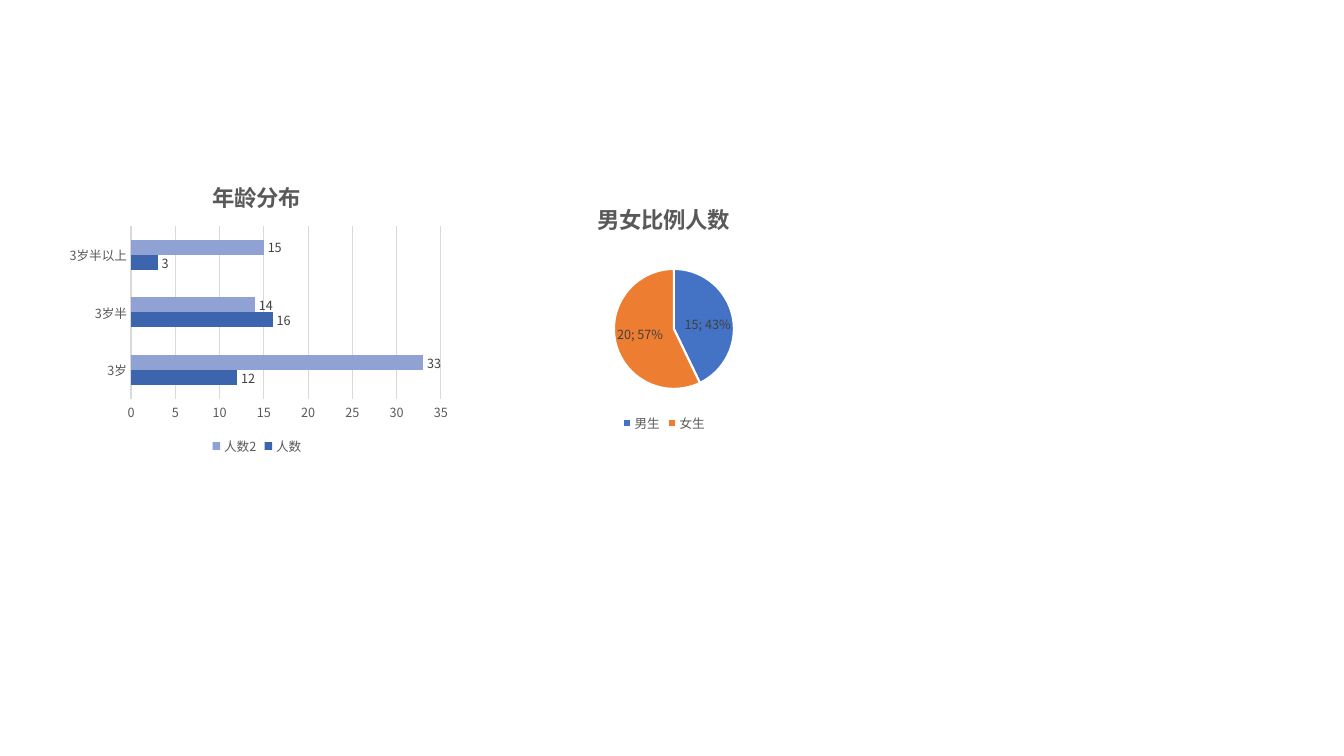
from lxml.etree import SubElement
from pptx import Presentation
from pptx.chart.data import CategoryChartData
from pptx.dml.color import RGBColor
from pptx.enum.chart import XL_CHART_TYPE, XL_LABEL_POSITION, XL_LEGEND_POSITION, XL_TICK_MARK
from pptx.oxml.ns import qn
from pptx.util import Emu, Pt

# Content: boxes are left, top, width, height in px
SLIDE_SIZE = (1344, 756)
FONT = "Noto Sans CJK SC"
COLORS = {
    "text": "595959", "label": "404040", "grid": "D9D9D9", "white": "FFFFFF",
    "dark_blue": "3C65AE", "light_blue": "90A2D3", "blue": "4472C4", "orange": "ED7D31",
}
AGE = {
    "title": "年龄分布",
    "type": XL_CHART_TYPE.BAR_CLUSTERED,
    "box": (59, 163, 396, 296),
    "plot": (131, 226, 310, 173),
    "categories": ["3岁", "3岁半", "3岁半以上"],
    "series": [("人数", (12, 16, 3)), ("人数2", (33, 14, 15))],
    "colors": ["dark_blue", "light_blue"],
}
GENDER = {
    "title": "男女比例人数",
    "type": XL_CHART_TYPE.PIE,
    "box": (495, 186, 338, 250),
    "plot": (614, 269, 120, 120),
    "categories": ["男生", "女生"],
    "series": [("Series 1", (15, 20))],
    "colors": ["blue", "orange"],
}


def px(length):
    return Emu(round(length * 914400 / 100.8))


def rgb(name):
    return RGBColor.from_string(COLORS[name])


def style_font(font, size, color, bold=False):
    font.name = FONT
    font.size = Pt(size)
    font.bold = bold
    font.color.rgb = rgb(color)


def place_plot(chart, box, plot):
    """Fix the inner plot area as fractions of the chart box."""
    plot_area = chart.element.find(".//" + qn("c:plotArea"))
    for old_layout in plot_area.findall(qn("c:layout")):
        plot_area.remove(old_layout)
    layout = SubElement(plot_area, qn("c:layout"))
    plot_area.insert(0, layout)
    manual = SubElement(layout, qn("c:manualLayout"))
    left, top, width, height = box
    settings = {
        "layoutTarget": "inner", "xMode": "edge", "yMode": "edge",
        "x": (plot[0] - left) / width, "y": (plot[1] - top) / height,
        "w": plot[2] / width, "h": plot[3] / height,
    }
    for tag, value in settings.items():
        SubElement(manual, qn("c:" + tag)).set("val", str(value))


def add_east_asian_font(chart):
    for latin in list(chart.element.iter(qn("a:latin"))):
        east_asian = latin.makeelement(qn("a:ea"), {"typeface": FONT})
        latin.addnext(east_asian)


def add_chart(slide, content):
    """Add a chart with its title, legend, plot area and value labels."""
    data = CategoryChartData()
    data.categories = content["categories"]
    for name, values in content["series"]:
        data.add_series(name, values)
    frame = slide.shapes.add_chart(content["type"], *map(px, content["box"]), data)
    chart = frame.chart
    style_font(chart.font, 10, "text")

    chart.has_title = True
    run = chart.chart_title.text_frame.paragraphs[0].add_run()
    run.text = content["title"]
    style_font(run.font, 16, "text", bold=True)

    chart.has_legend = True
    chart.legend.position = XL_LEGEND_POSITION.BOTTOM
    chart.legend.include_in_layout = False
    style_font(chart.legend.font, 9, "text")

    place_plot(chart, content["box"], content["plot"])
    for series in chart.plots[0].series:
        labels = series.data_labels
        labels.show_value = True
        style_font(labels.font, 9, "label")
    return chart


def style_bars(chart):
    plot = chart.plots[0]
    plot.gap_width = 182
    plot.vary_by_categories = False
    for series, color in zip(plot.series, AGE["colors"]):
        series.format.fill.solid()
        series.format.fill.fore_color.rgb = rgb(color)
        series.data_labels.position = XL_LABEL_POSITION.OUTSIDE_END

    for axis in (chart.category_axis, chart.value_axis):
        axis.major_tick_mark = axis.minor_tick_mark = XL_TICK_MARK.NONE
        style_font(axis.tick_labels.font, 9, "text")
    chart.category_axis.has_major_gridlines = False
    chart.value_axis.has_major_gridlines = True
    chart.value_axis.format.line.fill.background()
    for line in (chart.category_axis.format.line, chart.value_axis.major_gridlines.format.line):
        line.color.rgb = rgb("grid")
        line.width = Pt(0.75)


def style_pie(chart):
    plot = chart.plots[0]
    plot.vary_by_categories = True
    series = plot.series[0]
    for index, color in enumerate(GENDER["colors"]):
        wedge = series.points[index].format
        wedge.fill.solid()
        wedge.fill.fore_color.rgb = rgb(color)
        wedge.line.color.rgb = rgb("white")
        wedge.line.width = Pt(1.5)
    labels = series.data_labels
    labels.show_percentage = True
    labels.position = XL_LABEL_POSITION.BEST_FIT
    # The separator follows the last of the "show" flags
    bubble_flag = chart.element.find(".//" + qn("c:dLbls") + "/" + qn("c:showBubbleSize"))
    separator = bubble_flag.makeelement(qn("c:separator"), {})
    separator.text = "; "
    bubble_flag.addnext(separator)


def main():
    presentation = Presentation()
    presentation.slide_width, presentation.slide_height = map(px, SLIDE_SIZE)
    slide = presentation.slides.add_slide(presentation.slide_layouts[6])

    for content, style in ((AGE, style_bars), (GENDER, style_pie)):
        chart = add_chart(slide, content)
        style(chart)
        add_east_asian_font(chart)

    presentation.save("out.pptx")


if __name__ == "__main__":
    main()
